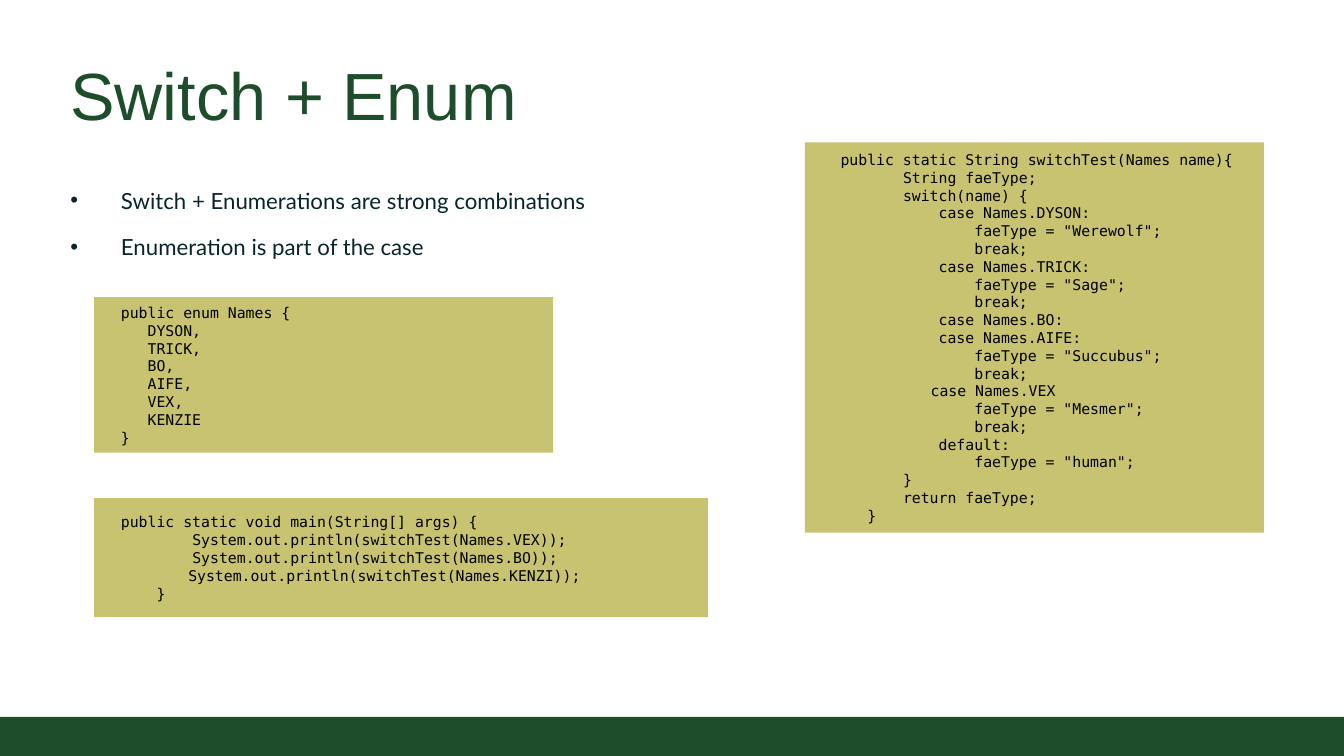
from typing import NamedTuple

from pptx import Presentation
from pptx.dml.color import RGBColor
from pptx.enum import shapes, text
from pptx.util import Emu, Pt

EMU_PER_PX = 9144  # 100 px to the inch
COLUMN = 10.03  # px width of one 12 pt code character
WIDTH, HEIGHT = 1511, 850
GREEN, INK, KHAKI, BLACK = "1E4D2B", "092529", "C8C371", "000000"


class Box(NamedTuple):
    left: int
    top: int
    width: int
    height: int


class Line(NamedTuple):
    column: float
    code: str


class CodePanel(NamedTuple):
    box: Box
    lines: list[Line]


def px(n: float) -> Emu:
    return Emu(round(n * EMU_PER_PX))


def rgb(color: str) -> RGBColor:
    return RGBColor.from_string(color)


def place(sp, box: Box) -> None:
    sp.left, sp.top, sp.width, sp.height = map(px, box)


def set_frame(tf, anchor, side: int, end: int) -> None:
    tf.word_wrap = True
    tf.auto_size = text.MSO_AUTO_SIZE.NONE
    tf.vertical_anchor = anchor
    tf.margin_left = tf.margin_right = px(side)
    tf.margin_top = tf.margin_bottom = px(end)


def add_run(p, words: str, font: str, size: int, color: str) -> None:
    r = p.add_run()
    r.text = words
    r.font.name, r.font.size = font, Pt(size)
    r.font.color.rgb = rgb(color)


def set_indent(p, left: float, first: float = 0) -> None:
    """Indent a paragraph, with its first line offset from the rest."""
    pPr = p._p.get_or_add_pPr()
    pPr.set("marL", str(px(left)))
    pPr.set("indent", str(px(first)))


def paragraphs(tf, count: int) -> list:
    return [tf.paragraphs[0]] + [tf.add_paragraph() for _ in range(count - 1)]


def add_rectangle(slide, box: Box, color: str):
    sp = slide.shapes.add_shape(shapes.MSO_SHAPE.RECTANGLE, *map(px, box))
    sp.shadow.inherit = False
    sp.fill.solid()
    sp.fill.fore_color.rgb = rgb(color)
    sp.line.fill.background()
    return sp


def fill_title(sp, box: Box, words: str) -> None:
    place(sp, box)
    set_frame(sp.text_frame, text.MSO_ANCHOR.BOTTOM, 10, 10)
    p = sp.text_frame.paragraphs[0]
    p.alignment = text.PP_ALIGN.LEFT
    add_run(p, words, "Arial", 54, GREEN)


def fill_bullets(sp, box: Box, points: list[str]) -> None:
    place(sp, box)
    tf = sp.text_frame
    set_frame(tf, text.MSO_ANCHOR.TOP, 10, 10)
    for p, point in zip(paragraphs(tf, len(points)), points):
        set_indent(p, 57, -57)
        p.line_spacing = 1.2
        p.space_before = p.space_after = Pt(6)
        add_run(p, point, "Lato", 18, INK)


def add_code(slide, panel: CodePanel) -> None:
    tf = add_rectangle(slide, panel.box, KHAKI).text_frame
    set_frame(tf, text.MSO_ANCHOR.MIDDLE, 30, 20)
    for p, line in zip(paragraphs(tf, len(panel.lines)), panel.lines):
        p.alignment = text.PP_ALIGN.LEFT
        set_indent(p, line.column * COLUMN)
        add_run(p, line.code, "DejaVu Sans Mono", 12, BLACK)


POINTS = ["Switch + Enumerations are strong combinations",
          "Enumeration is part of the case"]

PANELS = [
    CodePanel(Box(905, 160, 516, 439), [
        Line(1, "public static String switchTest(Names name){"),
        Line(8, "String faeType;"),
        Line(8, "switch(name) {"),
        Line(12, "case Names.DYSON:"),
        Line(16, 'faeType = "Werewolf";'),
        Line(16, "break;"),
        Line(12, "case Names.TRICK:"),
        Line(16, 'faeType = "Sage";'),
        Line(16, "break;"),
        Line(12, "case Names.BO:"),
        Line(12, "case Names.AIFE:"),
        Line(16, 'faeType = "Succubus";'),
        Line(16, "break;"),
        Line(11.1, "case Names.VEX"),
        Line(16, 'faeType = "Mesmer";'),
        Line(16, "break;"),
        Line(12, "default:"),
        Line(16, 'faeType = "human";'),
        Line(8, "}"),
        Line(8, "return faeType;"),
        Line(4, "}"),
    ]),
    CodePanel(Box(106, 334, 516, 175), [
        Line(0, "public enum Names {"),
        *(Line(3, name) for name in
          ("DYSON,", "TRICK,", "BO,", "AIFE,", "VEX,", "KENZIE")),
        Line(0, "}"),
    ]),
    CodePanel(Box(106, 560, 690, 134), [
        Line(0, "public static void main(String[] args) {"),
        Line(8, "System.out.println(switchTest(Names.VEX));"),
        Line(8, "System.out.println(switchTest(Names.BO));"),
        Line(7.55, "System.out.println(switchTest(Names.KENZI));"),
        Line(4, "}"),
    ]),
]


def main() -> None:
    prs = Presentation()
    prs.slide_width, prs.slide_height = px(WIDTH), px(HEIGHT)
    slide = prs.slides.add_slide(prs.slide_layouts[1])
    title, body = slide.placeholders
    fill_title(title, Box(69, 49, 1374, 111), "Switch + Enum")
    fill_bullets(body, Box(69, 194, 660, 106), POINTS)
    add_rectangle(slide, Box(0, 806, WIDTH, 44), GREEN)
    for panel in PANELS:
        add_code(slide, panel)
    prs.save("out.pptx")


if __name__ == "__main__":
    main()
